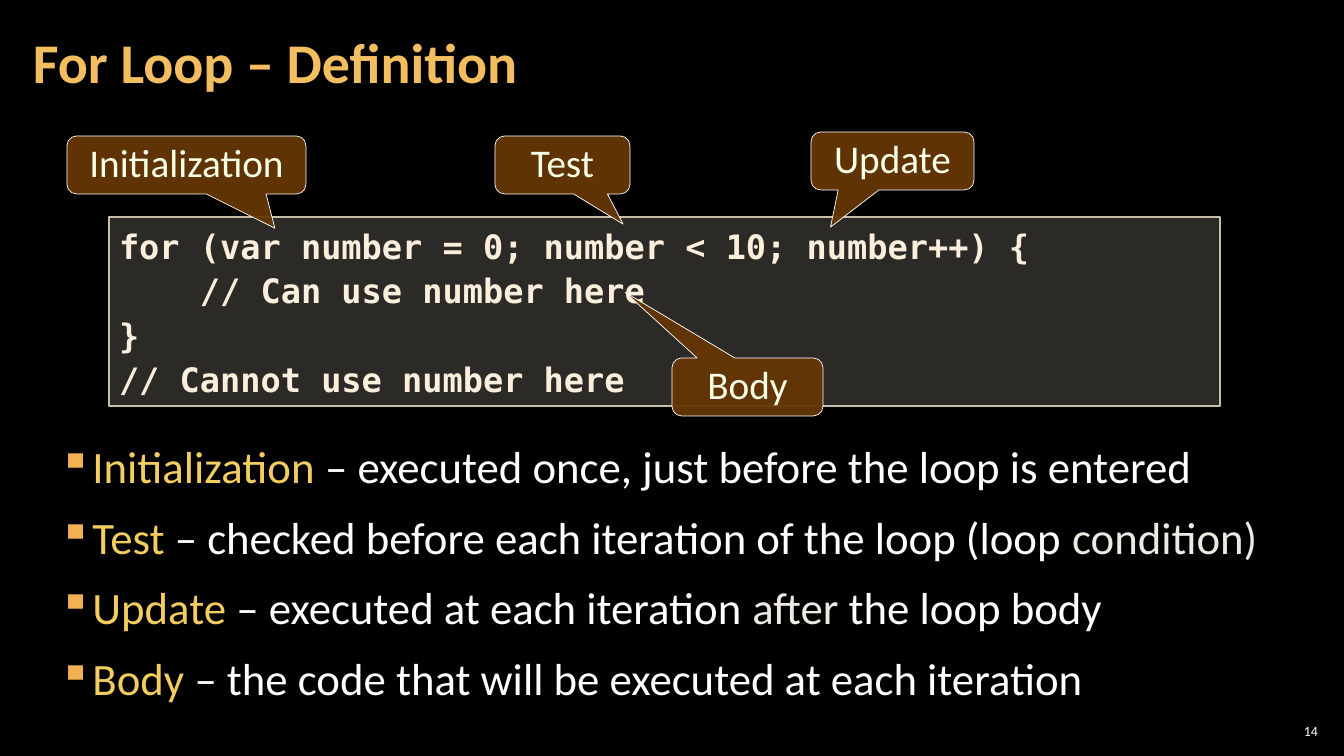
"""Build the slide that defines the parts of a for loop."""
import pptx
import pptx.util
import pptx.dml.color
import pptx.enum.shapes
import pptx.enum.text
import pptx.oxml.ns
import lxml.etree

SCALE = 914400 / 100.8
THEME = {
    "background": "000000", "title": "F3BE60", "term": "F3CD60", "text": "FFFFFF",
    "soft": "ECEAE3", "bullet": "F2B254", "code": "FBEEDC", "code_fill": "D9D5C7",
    "code_line": "C7BFAC", "label": "F7FFE7", "label_fill": "663606",
    "font": "Calibri", "mono": "DejaVu Sans Mono",
    "title_size": 40, "body_size": 32, "label_size": 28, "code_size": 24, "number_size": 10,
}
SHAPE = pptx.enum.shapes.MSO_SHAPE
ALIGN = pptx.enum.text.PP_ALIGN
ANCHOR = pptx.enum.text.MSO_ANCHOR
rgb = pptx.dml.color.RGBColor.from_string
qn = pptx.oxml.ns.qn


def add_block(paragraphs, box, size, kind=None, font="font", bold=False, align=ALIGN.LEFT,
              anchor=ANCHOR.TOP, insets=(10, 5), spacing=None, gap=0, bullet=None,
              fill=None, alpha=100, line=None, line_width=1):
    """Place paragraphs of (text, colour) runs in a text box or a preset shape."""
    box = [round(v * SCALE) for v in box]
    s = slide.shapes.add_shape(kind, *box) if kind else slide.shapes.add_textbox(*box)
    if kind:
        s.shadow.inherit = False
        s.fill.solid()
        s.fill.fore_color.rgb = rgb(THEME[fill])
        color = s._element.spPr.find(qn("a:solidFill"))[0]
        lxml.etree.SubElement(color, qn("a:alpha"), val=str(alpha * 1000))
        s.line.color.rgb = rgb(THEME[line])
        s.line.width = pptx.util.Pt(line_width)
    tf = s.text_frame
    tf.word_wrap = True
    tf.vertical_anchor = anchor
    tf.margin_left = tf.margin_right = round(insets[0] * SCALE)
    tf.margin_top = tf.margin_bottom = round(insets[1] * SCALE)
    for i, runs in enumerate(paragraphs):
        p = tf.add_paragraph() if i else tf.paragraphs[0]
        p.alignment = align
        p.line_spacing = spacing
        p.space_before = p.space_after = pptx.util.Pt(gap)
        if bullet:
            pPr = p._p.get_or_add_pPr()
            indent = round(33 * SCALE)
            pPr.set("marL", str(indent))
            pPr.set("indent", str(-indent))
            color = lxml.etree.SubElement(pPr, qn("a:buClr"))
            lxml.etree.SubElement(color, qn("a:srgbClr"), val=THEME["bullet"])
            lxml.etree.SubElement(pPr, qn("a:buChar"), char=bullet)
        for text, role in runs:
            for j, part in enumerate(text.split("\n")):
                if j:
                    p.add_line_break()
                r = p.add_run()
                r.text = part
                r.font.name = THEME[font]
                r.font.size = pptx.util.Pt(THEME[size])
                r.font.bold = bold
                r.font.color.rgb = rgb(THEME[role])
    return s


prs = pptx.Presentation()
prs.slide_width, prs.slide_height = round(1344 * SCALE), round(756 * SCALE)
slide = prs.slides.add_slide(prs.slide_layouts[6])
slide.background.fill.solid()
slide.background.fill.fore_color.rgb = rgb(THEME["background"])

code = """for (var number = 0; number < 10; number++) {
    // Can use number here
}
// Cannot use number here"""
add_block([[(code, "code")]], (109, 217, 1111, 189), "code_size", kind=SHAPE.RECTANGLE,
          font="mono", bold=True, spacing=1.1, fill="code_fill", alpha=20, line="code_line")

add_block([[("For Loop – Definition", "title")]], (21, 4, 1055, 122), "title_size",
          bold=True, anchor=ANCHOR.MIDDLE, insets=(12, 4), spacing=0.9)

definitions = [
    [("Initialization", "term"), (" – executed once, just before the loop is entered", "text")],
    [("Test", "term"), (" – checked before each iteration of the loop (loop ", "text"),
     ("condition)", "soft")],
    [("Update", "term"), (" – executed at each iteration ", "text"), ("after", "soft"),
     (" the loop body", "text")],
    [("Body", "term"), (" – the code that will be executed at each iteration", "text")],
]
add_block(definitions, (47, 435, 1249, 286), "body_size", insets=(12, 4), gap=6, bullet="▪")

callouts = [
    ("Initialization", 67, 136, 239, (0.37, 1.09)),
    ("Test", 495, 136, 135, (0.45, 1.02)),
    ("Update", 811, 132, 163, (-0.38, 1.14)),
    ("Body", 672, 358, 151, (-0.81, -1.63)),
]
for name, left, top, width, tip in callouts:
    s = add_block([[(name, "label")]], (left, top, width, 58), "label_size",
                  kind=SHAPE.ROUNDED_RECTANGULAR_CALLOUT, align=ALIGN.CENTER,
                  spacing=pptx.util.Pt(30), fill="label_fill", alpha=95,
                  line="text", line_width=0.5)
    s.adjustments[0], s.adjustments[1] = tip

add_block([[("14", "text")]], (1275, 720, 47, 21), "number_size", align=ALIGN.RIGHT,
          anchor=ANCHOR.MIDDLE, insets=(4, 4))

prs.save("out.pptx")
